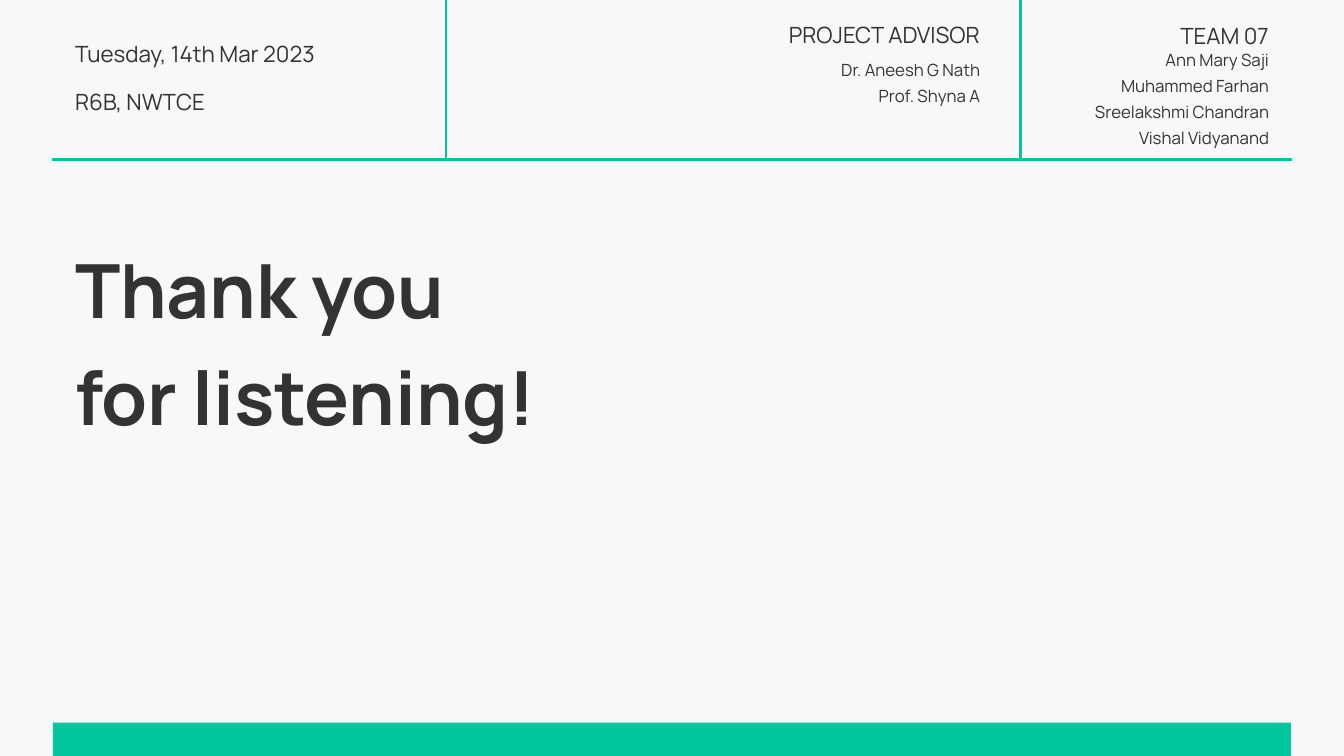
from lxml import etree
from pptx import Presentation
from pptx.dml.color import RGBColor
from pptx.enum.shapes import MSO_CONNECTOR, MSO_SHAPE
from pptx.enum.text import MSO_AUTO_SIZE, PP_ALIGN
from pptx.oxml.ns import qn
from pptx.util import Cm, Pt

LEFT, RIGHT = PP_ALIGN.LEFT, PP_ALIGN.RIGHT
STRAIGHT, RECTANGLE = MSO_CONNECTOR.STRAIGHT, MSO_SHAPE.RECTANGLE
GROW = MSO_AUTO_SIZE.SHAPE_TO_FIT_TEXT

COLORS = {"background": "F8F8F8", "accent": "00C49A", "text": "333333"}
FONT = "Manrope"

# Text styles: size, bold, line spacing
STYLES = {
    "label": (12, False, 1.38),
    "names": (9, False, 1.28),
    "title": (40, True, 1.2),
}

# Columns in cm: left, width, alignment
COLUMNS = {
    "date": (1.42, 5.56, LEFT),
    "advisor": (14.48, 4.04, RIGHT),
    "team": (19.94, 4.04, RIGHT),
    "title": (1.42, 13.03, LEFT),
}

# Text blocks: column, style, top and height in cm, lines
TEXTS = [
    ("date", "label", 0.56, 0.56, ["Tuesday, 14th Mar 2023"]),
    ("date", "label", 1.48, 0.56, ["R6B, NWTCE"]),
    ("advisor", "label", 0.2, 0.51, ["PROJECT ADVISOR"]),
    ("advisor", "names", 1.02, 0.89, ["Dr. Aneesh G Nath", "Prof. Shyna A"]),
    ("team", "label", 0.23, 0.51, ["TEAM 07"]),
    ("team", "names", 0.84, 1.85, ["Ann Mary Saji", "Muhammed Farhan",
                                   "Sreelakshmi Chandran", "Vishal Vidyanand"]),
    ("title", "title", 4.27, 3.38, ["Thank you", "for listening!"]),
]

# Frame in cm
SLIDE_WIDTH, SLIDE_HEIGHT = 25.4, 14.29
MARGIN = 1
HEADER_BOTTOM = 3.01
DIVIDERS = [8.43, 19.29]
FOOTER_HEIGHT = 0.63


def color(name):
    return RGBColor.from_string(COLORS[name])


def add_line(slide, x1, y1, x2, y2):
    line = slide.shapes.add_connector(STRAIGHT, Cm(x1), Cm(y1), Cm(x2), Cm(y2))
    line.line.color.rgb = color("accent")
    line.line.width = Pt(1.5)
    line.line._get_or_add_ln().set("cap", "rnd")
    etree.SubElement(line._element.spPr, qn("a:effectLst"))


def add_text(slide, column, style, top, height, lines):
    left, width, alignment = COLUMNS[column]
    size, bold, spacing = STYLES[style]
    box = slide.shapes.add_textbox(Cm(left), Cm(top), Cm(width), Cm(height))
    frame = box.text_frame
    frame.margin_left = frame.margin_top = frame.margin_right = frame.margin_bottom = 0
    frame.word_wrap = True
    frame.auto_size = GROW
    frame.text = "\n".join(lines)
    for paragraph in frame.paragraphs:
        paragraph.alignment = alignment
        paragraph.line_spacing = spacing
        for run in paragraph.runs:
            run.font.name = FONT
            run.font.size = Pt(size)
            run.font.bold = bold
            run.font.color.rgb = color("text")


def main():
    presentation = Presentation()
    presentation.slide_width = Cm(SLIDE_WIDTH)
    presentation.slide_height = Cm(SLIDE_HEIGHT)
    slide = presentation.slides.add_slide(presentation.slide_layouts[6])
    slide.background.fill.solid()
    slide.background.fill.fore_color.rgb = color("background")

    # Footer bar
    footer = slide.shapes.add_shape(
        RECTANGLE, Cm(MARGIN), Cm(SLIDE_HEIGHT - FOOTER_HEIGHT),
        Cm(SLIDE_WIDTH - 2 * MARGIN), Cm(FOOTER_HEIGHT))
    footer.shadow.inherit = False
    footer.fill.solid()
    footer.fill.fore_color.rgb = color("accent")
    footer.line.fill.background()

    # Header rules
    for x in DIVIDERS:
        add_line(slide, x, HEADER_BOTTOM, x, 0)
    add_line(slide, MARGIN, HEADER_BOTTOM, SLIDE_WIDTH - MARGIN, HEADER_BOTTOM)

    # Header details and title
    for text in TEXTS:
        add_text(slide, *text)

    presentation.save("out.pptx")


if __name__ == "__main__":
    main()
